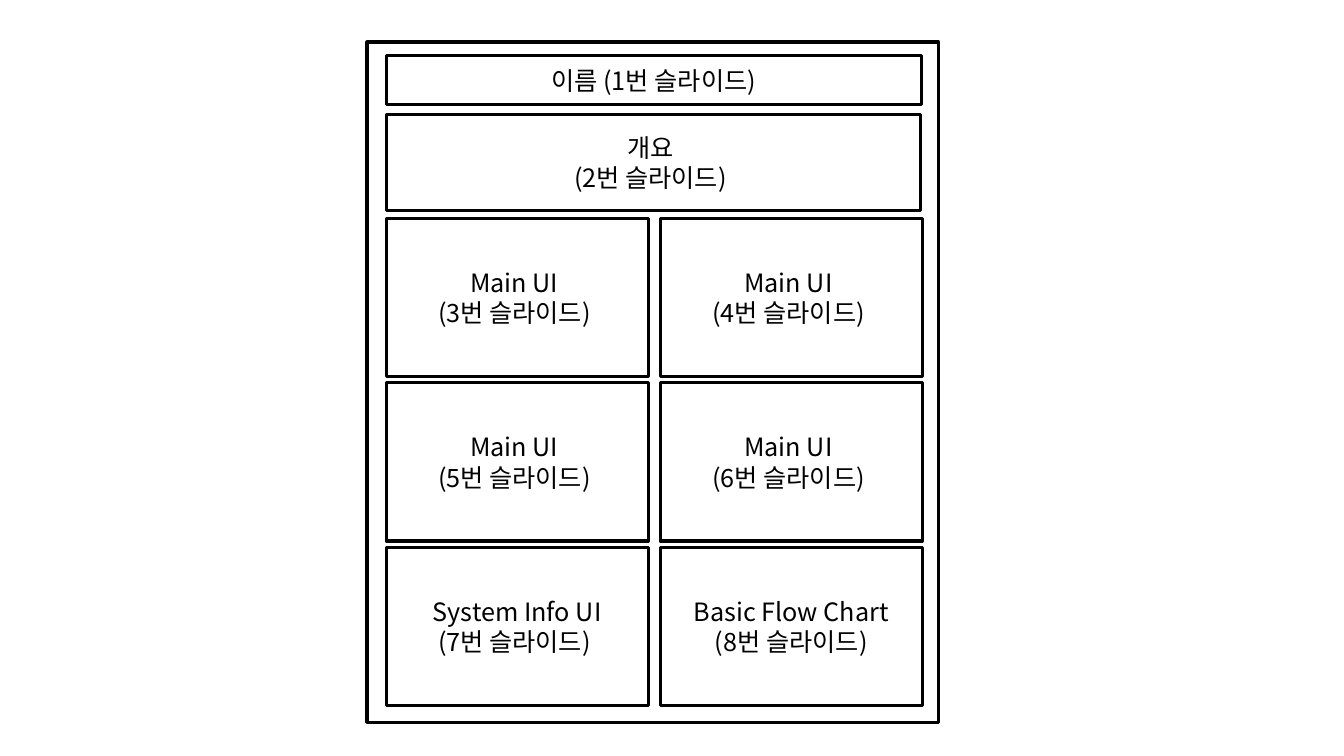
from lxml.etree import SubElement
from pptx import Presentation
from pptx.dml.color import RGBColor
from pptx.enum.shapes import MSO_SHAPE
from pptx.enum.text import MSO_ANCHOR, PP_ALIGN
from pptx.oxml.ns import qn
from pptx.util import Pt

FONT = "Noto Sans CJK KR"
INK = "000000"
LEFT = 275.8
CELL_W, CELL_H = 187.2, 113
STEP_X, STEP_Y = 195.8, 117.3
GRID_TOP = 156.2
CELLS = [
    "Main UI \v(3번 슬라이드) ", "Main UI \v(4번 슬라이드) ",
    "Main UI \v(5번 슬라이드) ", "Main UI \v(6번 슬라이드) ",
    "System Info UI\v(7번 슬라이드) ", "Basic Flow Chart\v(8번 슬라이드)",
]


def color(code):
    """Turn a hex string into a colour."""
    return RGBColor.from_string(code)


def write(frame, text, size=18, font=FONT, ink=INK, align=PP_ALIGN.CENTER):
    """Put formatted text in a frame; a vertical tab breaks the line."""
    frame.word_wrap = True
    frame.vertical_anchor = MSO_ANCHOR.MIDDLE
    para = frame.paragraphs[0]
    para.text = text
    para.alignment = align
    for run in para.runs:
        run.font.size = Pt(size)
        run.font.name = font
        run.font.color.rgb = color(ink)
        SubElement(run.font._element, qn("a:ea"), typeface=font)


def box(slide, left, top, width, height, text=None):
    """Draw an outlined box, with centred text if any is given."""
    shape = slide.shapes.add_shape(
        MSO_SHAPE.RECTANGLE, Pt(left), Pt(top), Pt(width), Pt(height))
    shape.shadow.inherit = False
    shape.fill.background()
    shape.line.color.rgb = color(INK)
    shape.line.width = Pt(2.25)
    if text:
        write(shape.text_frame, text)


def grid(slide, texts):
    """Lay out the slide cells in two columns."""
    for i, text in enumerate(texts):
        row, col = divmod(i, 2)
        box(slide, LEFT + col * STEP_X, GRID_TOP + row * STEP_Y,
            CELL_W, CELL_H, text)


def main():
    """Build the poster layout and save it."""
    deck = Presentation()
    deck.slide_width, deck.slide_height = Pt(960), Pt(540)
    slide = deck.slides.add_slide(deck.slide_layouts[6])
    box(slide, 262.2, 30, 408.2, 486)
    box(slide, LEFT, 39.8, 382.3, 34.6, "이름 (1번 슬라이드)")
    box(slide, LEFT, 82, 381.6, 68.4, "개요 \v(2번 슬라이드) ")
    grid(slide, CELLS)
    deck.save("out.pptx")


main()
